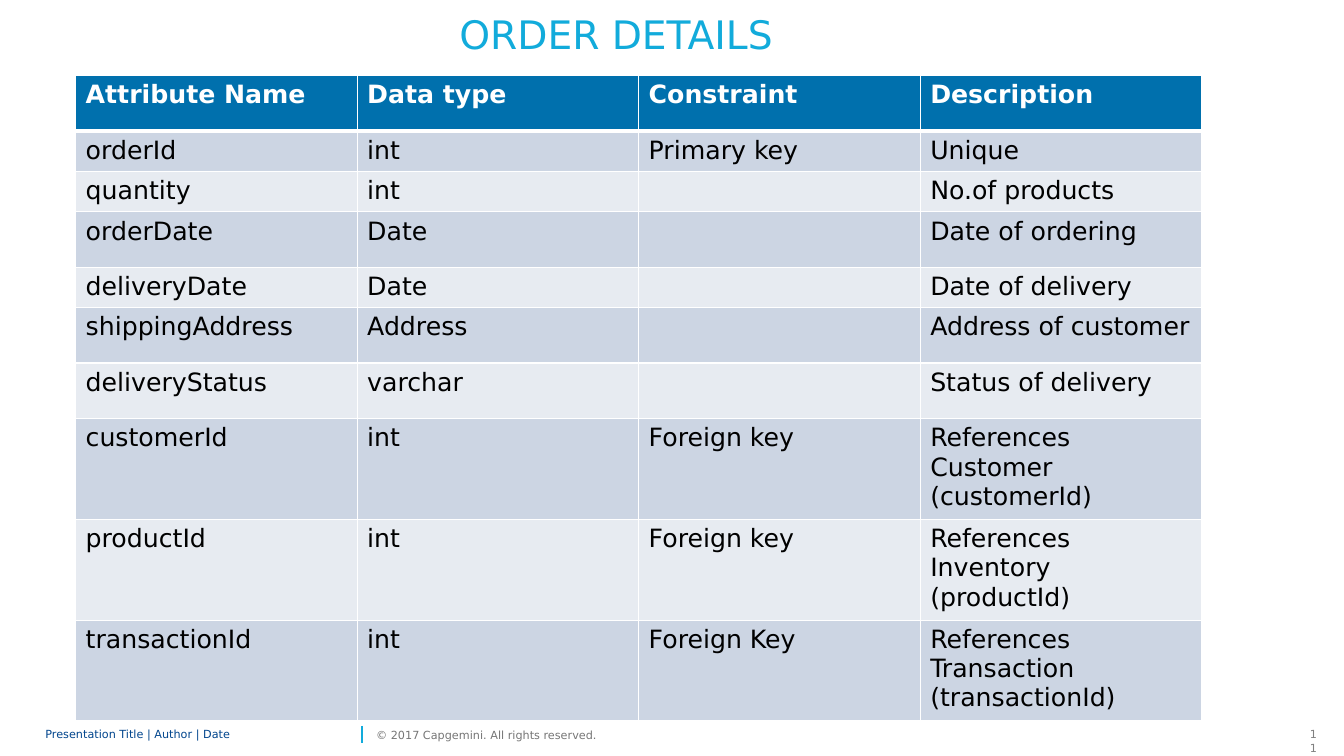
from lxml import etree
from pptx import Presentation
from pptx.dml.color import RGBColor
from pptx.enum.shapes import MSO_CONNECTOR
from pptx.enum.text import MSO_ANCHOR, MSO_AUTO_SIZE, PP_ALIGN
from pptx.oxml.ns import qn
from pptx.util import Inches, Pt

LINE = MSO_CONNECTOR.STRAIGHT
TOP, MIDDLE = MSO_ANCHOR.TOP, MSO_ANCHOR.MIDDLE
LEFT, CENTER, RIGHT = PP_ALIGN.LEFT, PP_ALIGN.CENTER, PP_ALIGN.RIGHT
FIXED = MSO_AUTO_SIZE.NONE

WHITE = RGBColor(0xFF, 0xFF, 0xFF)
BLACK = RGBColor(0, 0, 0)
CYAN = RGBColor(0x12, 0xAB, 0xDB)
BLUE = RGBColor(0x00, 0x70, 0xAD)
NAVY = RGBColor(0x00, 0x45, 0x8D)
DARK = RGBColor(0xCC, 0xD5, 0xE3)
LIGHT = RGBColor(0xE7, 0xEB, 0xF1)
GRAY = RGBColor(0x76, 0x76, 0x76)
SILVER = RGBColor(0x80, 0x80, 0x80)
FONT = "DejaVu Sans"

# Each row: height, then the cell texts
ROWS = [
    (0.55, "Attribute Name", "Data type", "Constraint", "Description"),
    (0.38, "orderId", "int", "Primary key", "Unique"),
    (0.38, "quantity", "int", "", "No.of products"),
    (0.55, "orderDate", "Date", "", "Date of ordering"),
    (0.38, "deliveryDate", "Date", "", "Date of delivery"),
    (0.55, "shippingAddress", "Address", "", "Address of customer"),
    (0.55, "deliveryStatus", "varchar", "", "Status of delivery"),
    (0.95, "customerId", "int", "Foreign key",
     "References Customer (customerId)"),
    (0.95, "productId", "int", "Foreign key",
     "References Inventory (productId)"),
    (0.95, "transactionId", "int", "Foreign Key",
     "References Transaction (transactionId)"),
]


def style(para, size, color, bold=False, align=LEFT):
    para.alignment = align
    font = para.font
    font.name, font.size, font.bold = FONT, Pt(size), bold
    font.color.rgb = color


def clear_insets(frame):
    frame.margin_left = frame.margin_right = 0
    frame.margin_top = frame.margin_bottom = 0


def add_title(slide, box):
    title = slide.shapes.title
    title.left, title.top, title.width, title.height = map(Inches, box)
    frame = title.text_frame
    frame.text = "ORDER DETAILS"
    frame.auto_size, frame.vertical_anchor = FIXED, TOP
    clear_insets(frame)
    para = frame.paragraphs[0]
    para.line_spacing, para.space_after = Pt(22), Pt(6)
    style(para, 28, CYAN, align=CENTER)


def add_borders(cell, top, bottom):
    """Draw white borders; top and bottom are widths in points."""
    props = cell._tc.get_or_add_tcPr()
    for side, width in (("L", 1), ("R", 1), ("T", top), ("B", bottom)):
        line = etree.SubElement(props, qn(f"a:ln{side}"), w=str(Pt(width)))
        fill = etree.SubElement(line, qn("a:solidFill"))
        etree.SubElement(fill, qn("a:srgbClr"), val=str(WHITE))


def add_grid(slide, box):
    cols = len(ROWS[0]) - 1
    table = slide.shapes.add_table(len(ROWS), cols, *map(Inches, box)).table
    for col in table.columns:
        col.width = Inches(box[2] / cols)
    for r, (height, *texts) in enumerate(ROWS):
        table.rows[r].height = Inches(height)
        head = r == 0
        shade = BLUE if head else DARK if r % 2 else LIGHT
        for c, text in enumerate(texts):
            cell = table.cell(r, c)
            cell.text = text
            style(cell.text_frame.paragraphs[0], 18,
                  WHITE if head else BLACK, head)
            add_borders(cell, 3 if r == 1 else 1, 3 if head else 1)
            cell.fill.solid()
            cell.fill.fore_color.rgb = shade


def add_note(slide, box, text, color, align=LEFT):
    frame = slide.shapes.add_textbox(*map(Inches, box)).text_frame
    frame.text = text
    frame.word_wrap = True
    style(frame.paragraphs[0], 8, color, align=align)
    return frame


def add_footer(slide, box):
    left, top, width, height = box
    add_note(slide, (left + width - 0.27, top, 0.27, height), "11",
             SILVER, RIGHT)
    notes = (
        (0, 3.09, "Presentation Title | Author | Date", NAVY, 0.85),
        (3.28, 2.43, "© 2017 Capgemini. All rights reserved.", GRAY, 1),
    )
    for shift, wide, text, color, space in notes:
        frame = add_note(slide, (left + shift, top, wide, height), text, color)
        frame.vertical_anchor = MIDDLE
        clear_insets(frame)
        frame.paragraphs[0].line_spacing = space
    x = Inches(left + 3.14)
    bar = slide.shapes.add_connector(
        LINE, x, Inches(top + 0.03), x, Inches(top + 0.2))
    bar.line.color.rgb, bar.line.width = CYAN, Pt(1)
    etree.SubElement(bar._element.spPr, qn("a:effectLst"))


def main():
    deck = Presentation()
    deck.slide_width, deck.slide_height = Inches(13.33), Inches(7.5)
    slide = deck.slides.add_slide(deck.slide_layouts[5])
    add_footer(slide, (0.45, 7.17, 12.71, 0.24))
    add_title(slide, (3.08, 0.26, 6.06, 0.48))
    add_grid(slide, (0.75, 0.75, 11.17, 6.19))
    deck.save("out.pptx")


if __name__ == "__main__":
    main()
